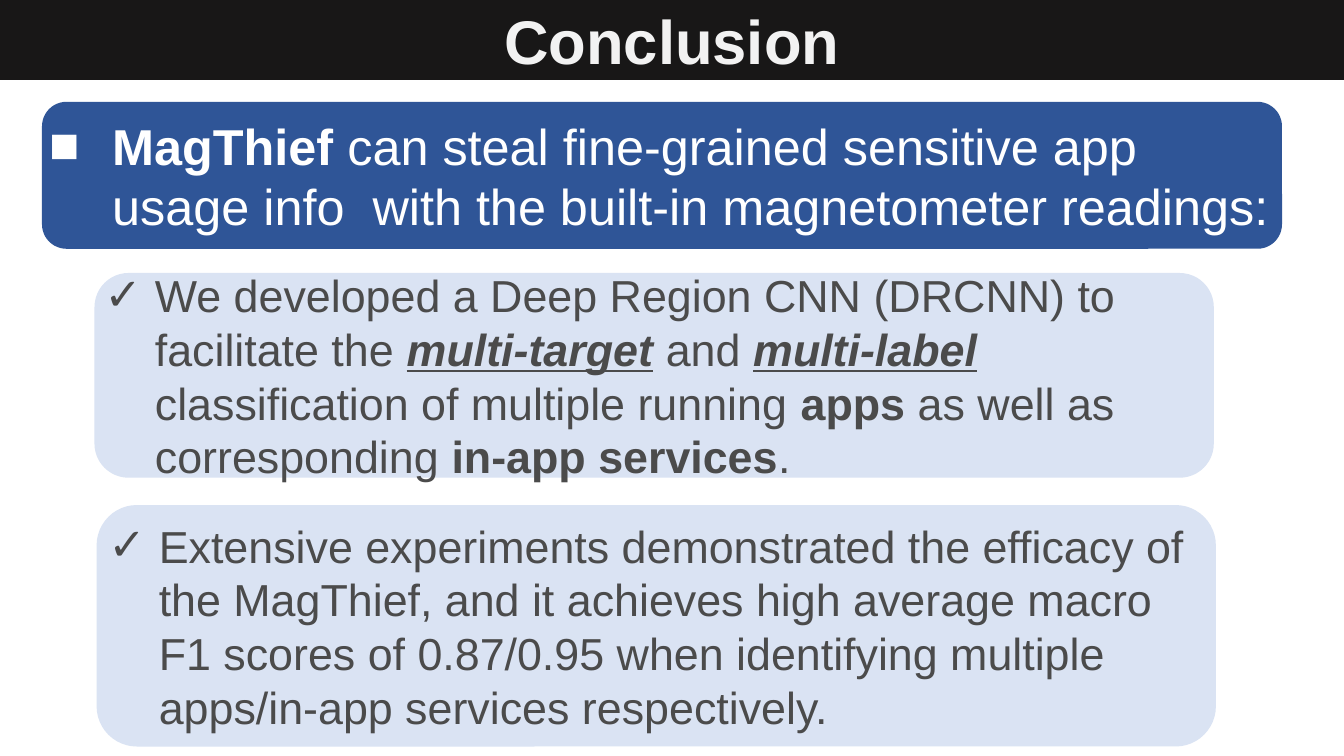
from dataclasses import dataclass

from lxml import etree
from pptx import Presentation
from pptx.dml.color import RGBColor
from pptx.enum.shapes import MSO_SHAPE
from pptx.enum.text import MSO_ANCHOR, PP_ALIGN
from pptx.oxml.ns import qn
from pptx.util import Emu, Pt

EMU_PER_PX = 9525
SLIDE_WIDTH, SLIDE_HEIGHT = 1280, 720
FONT = "Arial"

RECTANGLE = MSO_SHAPE.RECTANGLE
ROUNDED = MSO_SHAPE.ROUNDED_RECTANGLE
LEFT, CENTER = PP_ALIGN.LEFT, PP_ALIGN.CENTER
MIDDLE = MSO_ANCHOR.MIDDLE

BLACK = RGBColor(0x18, 0x17, 0x17)
OFF_WHITE = RGBColor(0xF2, 0xF2, 0xF2)
WHITE = RGBColor(0xFF, 0xFF, 0xFF)
BLUE = RGBColor(0x2F, 0x55, 0x97)
PALE_BLUE = RGBColor(0xDA, 0xE3, 0xF3)
GRAY = RGBColor(0x4B, 0x4B, 0x4B)


@dataclass(frozen=True)
class Span:
    text: str
    bold: bool = False
    emphasis: bool = False  # italic and underlined


@dataclass(frozen=True)
class Panel:
    left: int
    top: int
    width: int
    height: int
    fill: RGBColor
    color: RGBColor
    size: int
    spans: tuple[Span, ...]
    bullet: str = ""
    indent: int = 0


TITLE = Panel(0, 0, SLIDE_WIDTH, 76, BLACK, OFF_WHITE, 44,
              (Span("Conclusion", bold=True),))

CLAIM = Panel(40, 97, 1181, 140, BLUE, WHITE, 36, (
    Span("MagThief", bold=True),
    Span(" can steal fine-grained sensitive app usage info  with the "
         "built-in magnetometer readings:"),
), "■", 60)

METHOD = Panel(90, 260, 1066, 195, PALE_BLUE, GRAY, 32, (
    Span("We developed a Deep Region CNN (DRCNN) to facilitate the "),
    Span("multi-target", bold=True, emphasis=True),
    Span(" and "),
    Span("multi-label", bold=True, emphasis=True),
    Span(" classification of multiple running "),
    Span("apps", bold=True),
    Span(" as well as corresponding "),
    Span("in-app services", bold=True),
    Span("."),
), "✓", 48)

RESULTS = Panel(92, 481, 1066, 230, PALE_BLUE, GRAY, 32, (
    Span("Extensive experiments demonstrated the efficacy of the MagThief, "
         "and it achieves high average macro F1 scores of 0.87/0.95 when "
         "identifying multiple apps/in-app services respectively."),
), "✓", 48)


def px(length: int) -> Emu:
    return Emu(length * EMU_PER_PX)


def add_bullet(paragraph, character: str, indent: int) -> None:
    """Give the paragraph a hanging bullet."""
    properties = paragraph._p.get_or_add_pPr()
    properties.set("marL", str(px(indent)))
    properties.set("indent", str(px(-indent)))
    etree.SubElement(properties, qn("a:buFont")).set("typeface", FONT)
    etree.SubElement(properties, qn("a:buChar")).set("char", character)


def add_panel(slide, panel: Panel) -> None:
    """Draw a filled panel with one paragraph of styled text."""
    shape = slide.shapes.add_shape(
        ROUNDED if panel.bullet else RECTANGLE,
        px(panel.left), px(panel.top), px(panel.width), px(panel.height))
    shape.shadow.inherit = False
    shape.fill.solid()
    shape.fill.fore_color.rgb = panel.fill
    shape.line.fill.background()

    frame = shape.text_frame
    frame.word_wrap = True
    frame.vertical_anchor = MIDDLE
    frame.margin_left = frame.margin_right = 0
    frame.margin_top = frame.margin_bottom = 0

    paragraph = frame.paragraphs[0]
    paragraph.alignment = LEFT if panel.bullet else CENTER
    if panel.bullet:
        add_bullet(paragraph, panel.bullet, panel.indent)
    for span in panel.spans:
        run = paragraph.add_run()
        run.text = span.text
        run.font.name = FONT
        run.font.size = Pt(panel.size)
        run.font.color.rgb = panel.color
        run.font.bold = span.bold
        run.font.italic = run.font.underline = span.emphasis


def main() -> None:
    presentation = Presentation()
    presentation.slide_width = px(SLIDE_WIDTH)
    presentation.slide_height = px(SLIDE_HEIGHT)
    slide = presentation.slides.add_slide(presentation.slide_layouts[6])

    # Title band, main claim and the two supporting points
    for panel in (TITLE, CLAIM, METHOD, RESULTS):
        add_panel(slide, panel)

    presentation.save("out.pptx")


if __name__ == "__main__":
    main()
